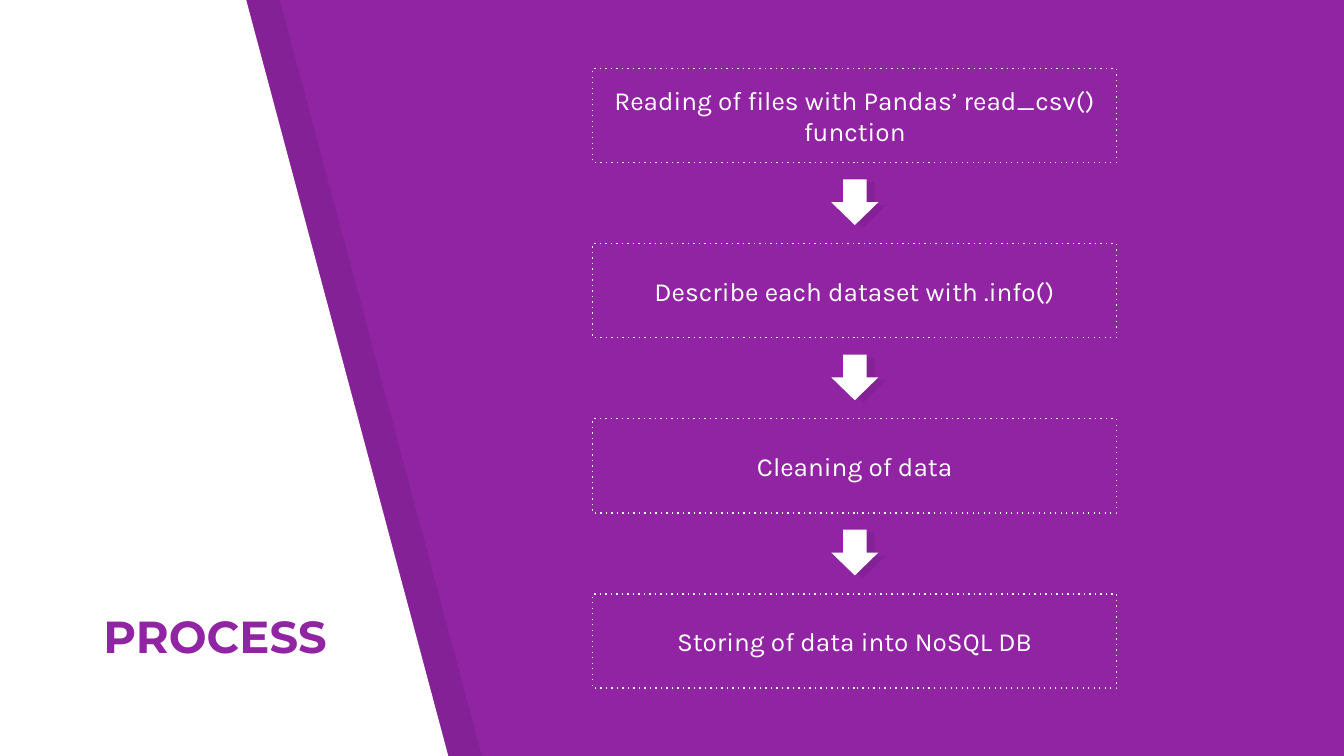
from lxml.etree import SubElement
from pptx import Presentation
from pptx.dml.color import RGBColor
from pptx.enum.dml import MSO_LINE
from pptx.enum.shapes import MSO_SHAPE
from pptx.enum.text import MSO_ANCHOR, MSO_AUTO_SIZE, PP_ALIGN
from pptx.oxml.ns import qn
from pptx.util import Inches, Pt

COLORS = {"purple": "9024A3", "white": "FFFFFF", "shade": "000000"}
SHADE_OPACITY = 7
STEPS = [
    "Reading of files with Pandas’ read_csv() function",
    "Describe each dataset with .info()",
    "Cleaning of data",
    "Storing of data into NoSQL DB",
]


def paint(shape, color, opacity=100):
    """Give a shape a solid fill, without outline or shadow."""
    shape.shadow.inherit = False
    shape.line.fill.background()
    shape.fill.solid()
    shape.fill.fore_color.rgb = RGBColor.from_string(COLORS[color])
    if opacity < 100:
        color_element = shape._element.spPr.find(qn("a:solidFill"))[0]
        SubElement(color_element, qn("a:alpha"), val=str(opacity * 1000))


def write_text(shape, text, font_name, size, color, alignment, anchor, bold=False):
    """Write one formatted run into a shape."""
    frame = shape.text_frame
    frame.word_wrap = True
    frame.auto_size = MSO_AUTO_SIZE.NONE
    frame.vertical_anchor = anchor
    frame.margin_left = frame.margin_right = Inches(0.1)
    frame.margin_top = frame.margin_bottom = Inches(0.1)
    paragraph = frame.paragraphs[0]
    paragraph.alignment = alignment
    run = paragraph.add_run()
    run.text = text
    run.font.name = font_name
    run.font.size = Pt(size)
    run.font.bold = bold
    run.font.color.rgb = RGBColor.from_string(COLORS[color])


def add_slanted_panel(slide, left, top, width, height, color, opacity=100):
    """Add a side panel with a slanted right edge, behind the title."""
    slant = 1.51
    builder = slide.shapes.build_freeform(Inches(left), Inches(top))
    corners = [
        (left, top + height),
        (left + width, top + height),
        (left + width - slant, top),
    ]
    builder.add_line_segments([(Inches(x), Inches(y)) for x, y in corners])
    panel = builder.convert_to_shape()
    paint(panel, color, opacity)
    slide.shapes.title._element.addprevious(panel._element)


def add_title(slide, left, top, width, height, text):
    """Place the title at the foot of the side panel."""
    title = slide.shapes.title
    title.left, title.top = Inches(left), Inches(top)
    title.width, title.height = Inches(width), Inches(height)
    write_text(title, text, "Montserrat", 24, "purple",
               PP_ALIGN.LEFT, MSO_ANCHOR.BOTTOM, bold=True)


def add_step(slide, left, top, width, height, text):
    """Add a dotted box that names one step."""
    box = slide.shapes.add_shape(
        MSO_SHAPE.RECTANGLE, Inches(left), Inches(top), Inches(width), Inches(height))
    box.shadow.inherit = False
    box.fill.background()
    box.line.color.rgb = RGBColor.from_string(COLORS["white"])
    box.line.width = Pt(0.75)
    box.line.dash_style = MSO_LINE.ROUND_DOT
    box._element.spPr.find(".//" + qn("a:prstDash")).set("val", "dot")
    write_text(box, text, "Karla", 14, "white", PP_ALIGN.CENTER, MSO_ANCHOR.MIDDLE)


def add_down_arrow(slide, left, top, width, height):
    """Add a white arrow pointing down, grouped with its offset shade."""
    group = slide.shapes.add_group_shape()
    layers = [(0.06, 0.02, "shade", SHADE_OPACITY), (0, 0, "white", 100)]
    for shift_x, shift_y, color, opacity in layers:
        arrow = group.shapes.add_shape(
            MSO_SHAPE.RIGHT_ARROW, Inches(left + shift_x), Inches(top + shift_y),
            Inches(width), Inches(height))
        arrow.rotation = 90
        paint(arrow, color, opacity)


def add_process(slide, left, top, width, height, steps):
    """Stack the steps evenly in a box, with an arrow between neighbours."""
    step_height, arrow_width, arrow_height = 0.7, 0.34, 0.35
    pitch = (height - step_height) / (len(steps) - 1)
    for index, text in enumerate(steps):
        step_top = top + index * pitch
        add_step(slide, left, step_top, width, step_height, text)
        if index < len(steps) - 1:
            add_down_arrow(slide, left + (width - arrow_width) / 2,
                           step_top + step_height + 0.12, arrow_width, arrow_height)


def main():
    """Build and save the process slide."""
    presentation = Presentation()
    presentation.slide_width = Inches(10)
    presentation.slide_height = Inches(10 * 9 / 16)
    slide = presentation.slides.add_slide(presentation.slide_layouts[5])
    background = slide.background.fill
    background.solid()
    background.fore_color.rgb = RGBColor.from_string(COLORS["purple"])
    add_slanted_panel(slide, 0.23, -0.01, 3.36, 5.65, "shade", SHADE_OPACITY)
    add_slanted_panel(slide, -0.02, -0.01, 3.36, 5.65, "white")
    add_title(slide, 0.67, 4.5, 1.88, 0.53, "PROCESS")
    add_process(slide, 4.41, 0.51, 3.9, 4.61, STEPS)
    presentation.save("out.pptx")


if __name__ == "__main__":
    main()
